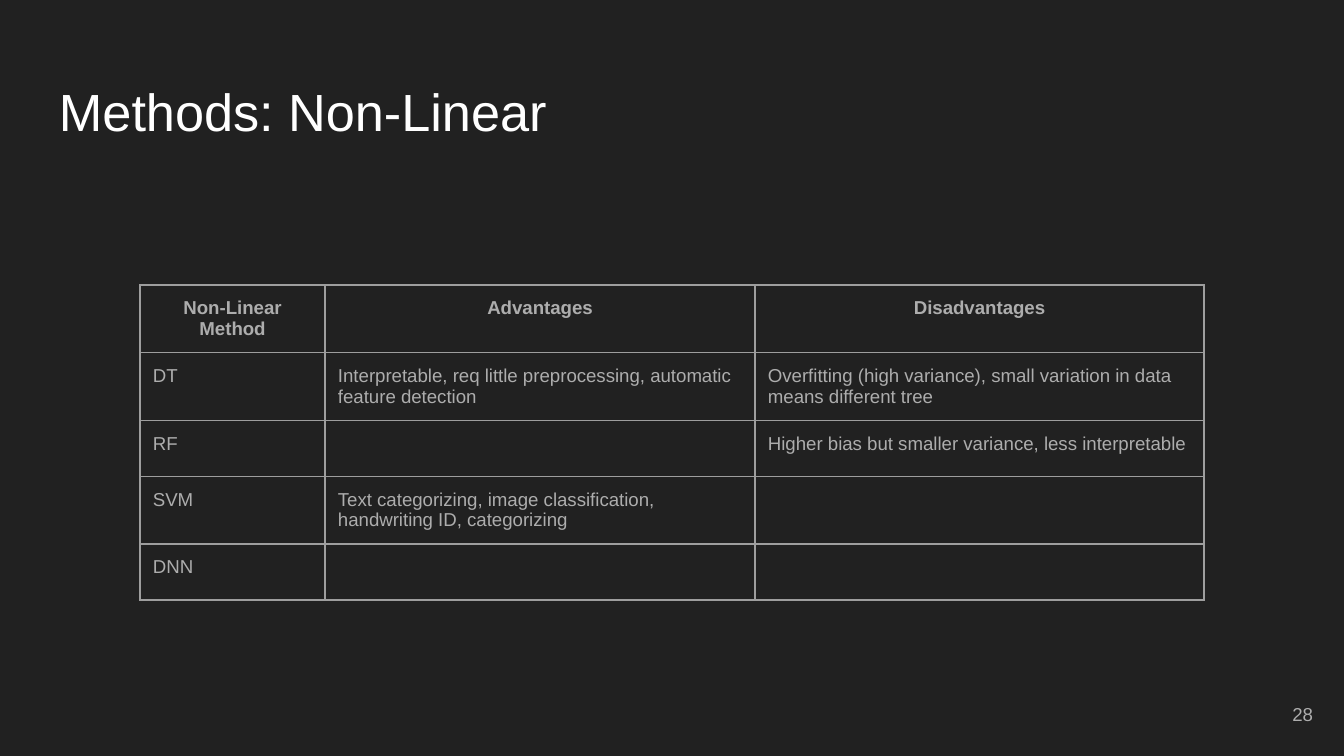
import pptx
import pptx.dml.color
import pptx.enum.text
import pptx.oxml
import pptx.oxml.ns
import pptx.util

RGB = pptx.dml.color.RGBColor
ALIGN = pptx.enum.text.PP_ALIGN
ANCHOR = pptx.enum.text.MSO_ANCHOR

DARK = RGB(0x21, 0x21, 0x21)
WHITE = RGB(0xFF, 0xFF, 0xFF)
GREY = RGB(0xAD, 0xAD, 0xAD)
LINE = RGB(0x9E, 0x9E, 0x9E)
FONT = "Arial"
SCALE = 914400 / 134.4
PAD = 13

COLS = (185, 430, 449)
ROW = 56
ROWS = (
    ("Non-Linear Method", "Advantages", "Disadvantages"),
    ("DT",
     "Interpretable, req little preprocessing, automatic feature detection",
     "Overfitting (high variance), small variation in data means different tree"),
    ("RF", "", "Higher bias but smaller variance, less interpretable"),
    ("SVM",
     "Text categorizing, image classification, handwriting ID, categorizing",
     ""),
    ("DNN", "", ""),
)


def px(size):
    return pptx.util.Emu(round(size * SCALE))


def write(frame, text, size, color, align=ALIGN.LEFT, bold=False):
    """Put one styled paragraph into a text frame."""
    par = frame.paragraphs[0]
    par.text = text
    par.alignment = align
    font = par.font
    font.name, font.size, font.bold = FONT, pptx.util.Pt(size), bold
    font.color.rgb = color


def pad(item):
    """Give a text frame or a cell equal margins."""
    item.margin_left = item.margin_right = px(PAD)
    item.margin_top = item.margin_bottom = px(PAD)


def add_title(slide, text):
    title = slide.shapes.title
    title.left, title.top, title.width, title.height = map(px, (46, 66, 1253, 85))
    frame = title.text_frame
    frame.word_wrap = True
    frame.auto_size = pptx.enum.text.MSO_AUTO_SIZE.NONE
    frame.vertical_anchor = ANCHOR.TOP
    pad(frame)
    write(frame, text, 28, WHITE)


def add_edges(cell):
    """Draw a thin line on all four sides of a cell."""
    props = cell._tc.get_or_add_tcPr()
    for num, side in enumerate(("lnL", "lnR", "lnT", "lnB")):
        props.insert(num, pptx.oxml.parse_xml(
            f'<a:{side} {pptx.oxml.ns.nsdecls("a")} w="{pptx.util.Pt(0.75)}">'
            f'<a:solidFill><a:srgbClr val="{LINE}"/></a:solidFill></a:{side}>'))


def add_grid(slide):
    grid = slide.shapes.add_table(
        len(ROWS), len(COLS), px(140), px(285),
        px(sum(COLS)), px(ROW * len(ROWS))).table
    grid.first_row = grid.horz_banding = False
    for col, width in zip(grid.columns, COLS):
        col.width = px(width)
    for r, texts in enumerate(ROWS):
        head = r == 0
        for c, text in enumerate(texts):
            cell = grid.cell(r, c)
            pad(cell)
            cell.fill.background()
            add_edges(cell)
            write(cell.text_frame, text, 10, GREY,
                  ALIGN.CENTER if head else ALIGN.LEFT, head)


def add_number(slide, text):
    box = slide.shapes.add_textbox(*map(px, (1246, 685, 80, 58)))
    frame = box.text_frame
    frame.word_wrap = True
    frame.vertical_anchor = ANCHOR.MIDDLE
    pad(frame)
    write(frame, text, 10, GREY, ALIGN.RIGHT)


def main():
    deck = pptx.Presentation()
    deck.slide_width, deck.slide_height = px(1344), px(756)
    slide = deck.slides.add_slide(deck.slide_layouts[5])
    fill = slide.background.fill
    fill.solid()
    fill.fore_color.rgb = DARK
    add_title(slide, "Methods: Non-Linear")
    add_grid(slide)
    add_number(slide, "28")
    deck.save("out.pptx")


if __name__ == "__main__":
    main()
